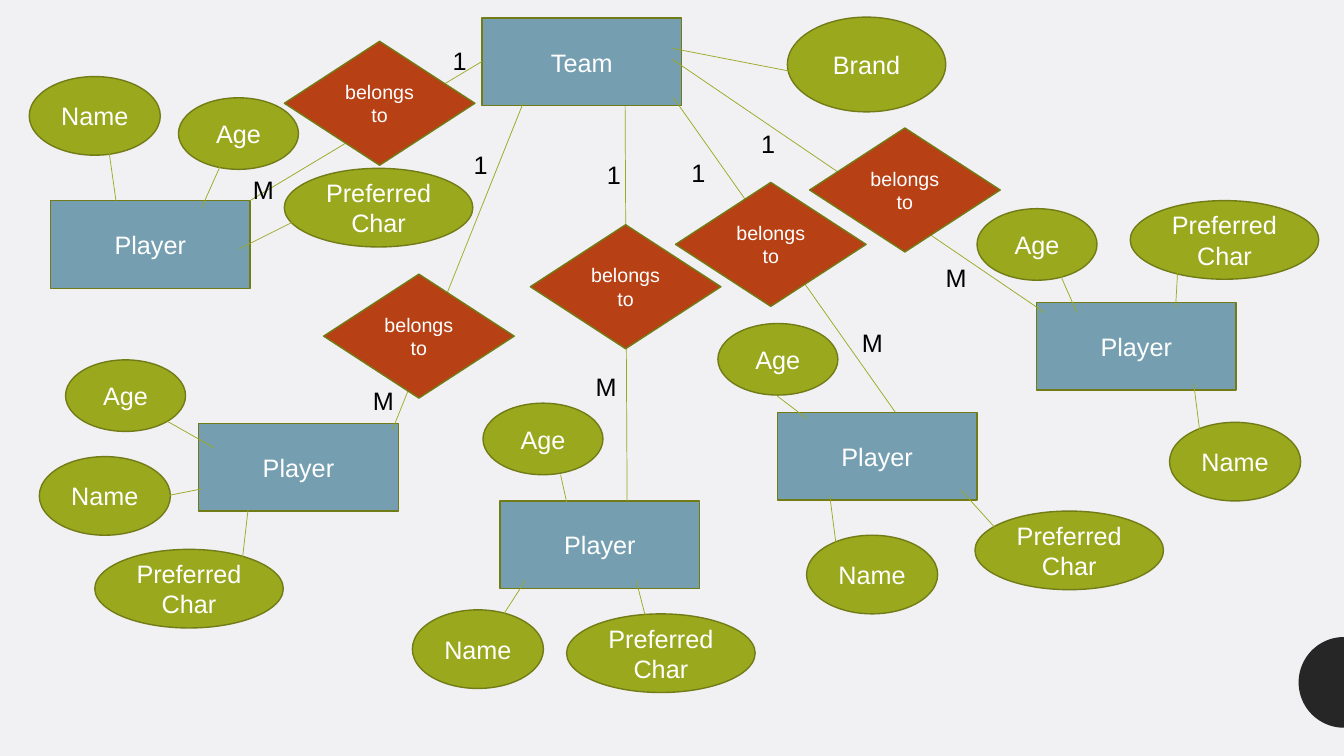
from dataclasses import dataclass
from math import cos, pi, sin

from lxml import etree
from pptx import Presentation
from pptx.dml.color import RGBColor
from pptx.enum.shapes import MSO_CONNECTOR, MSO_SHAPE
from pptx.enum.text import MSO_ANCHOR, MSO_AUTO_SIZE, PP_ALIGN
from pptx.oxml.ns import qn
from pptx.shapes.autoshape import Shape
from pptx.slide import Slide
from pptx.text.text import TextFrame
from pptx.util import Inches, Pt

RECT = MSO_SHAPE.RECTANGLE
OVAL = MSO_SHAPE.OVAL
GEM = MSO_SHAPE.FLOWCHART_DECISION
LINE = MSO_CONNECTOR.STRAIGHT
MIDDLE = MSO_ANCHOR.MIDDLE
CENTER = PP_ALIGN.CENTER
LEFT = PP_ALIGN.LEFT
GROW = MSO_AUTO_SIZE.SHAPE_TO_FIT_TEXT

WIDE, HIGH = Inches(13.33), Inches(7.5)
COLS, ROWS = 1333, 750

Spot = tuple[int, int]
Link = tuple[Spot, Spot]


@dataclass(frozen=True)
class Theme:
    font: str = "Arial"
    back: str = "F1F0F3"
    box: str = "759FB0"
    oval: str = "9AA81E"
    gem: str = "B74015"
    edge: str = "727C16"
    disc: str = "262626"
    light: str = "FFFFFF"
    dark: str = "000000"
    text: float = 18
    small: float = 14
    rim: float = 1
    thin: float = 0.5


THEME = Theme()


@dataclass(frozen=True)
class Kind:
    form: MSO_SHAPE
    cols: int
    rows: int
    fill: str
    size: float = THEME.text


BOX = Kind(RECT, 198, 87, THEME.box)
BRAND = Kind(OVAL, 157, 94, THEME.oval)
NAME = Kind(OVAL, 130, 78, THEME.oval)
AGE = Kind(OVAL, 119, 71, THEME.oval)
CHAR = Kind(OVAL, 187, 78, THEME.oval)
GEM_KIND = Kind(GEM, 189, 123, THEME.gem, THEME.small)
MARK_COLS, MARK_ROWS = 58, 40


@dataclass(frozen=True)
class Player:
    box: Spot
    name: Spot
    age: Spot
    char: Spot
    gem: Spot
    one: Spot
    many: Spot
    team: Link
    links: tuple[Link, ...]


PLAYERS = (
    Player((50, 199), (29, 76), (177, 97), (282, 167), (282, 41), (439, 40), (241, 168),
           ((248, 199), (478, 61)),
           (((237, 247), (293, 219)), ((200, 206), (221, 159)), ((115, 199), (107, 142)))),
    Player((197, 420), (39, 453), (65, 357), (94, 545), (321, 272), (460, 143), (360, 377),
           ((389, 427), (519, 102)),
           (((212, 444), (166, 418)), ((240, 558), (246, 506)), ((160, 493), (200, 485)))),
    Player((496, 497), (409, 605), (479, 400), (562, 609), (526, 223), (592, 153), (581, 363),
           ((622, 497), (620, 105)),
           (((640, 611), (631, 576)), ((494, 618), (521, 576)), ((562, 498), (556, 471)))),
    Player((771, 409), (800, 531), (712, 321), (967, 507), (670, 181), (676, 151), (845, 320),
           ((888, 409), (668, 97)),
           (((830, 546), (823, 492)), ((990, 527), (953, 486)), ((800, 415), (771, 393)))),
    Player((1028, 300), (1160, 419), (969, 207), (1121, 199), (803, 127), (745, 122), (928, 255),
           ((1036, 310), (667, 59)),
           (((1068, 310), (1050, 269)), ((1166, 305), (1168, 269)), ((1191, 436), (1184, 381)))),
)


def col(n: float) -> int:
    return round(WIDE * n / COLS)


def row(n: float) -> int:
    return round(HIGH * n / ROWS)


def tint(code: str) -> RGBColor:
    return RGBColor.from_string(code)


def write(frame: TextFrame, text: str, size: float, ink: str, align: PP_ALIGN) -> None:
    frame.word_wrap = True
    para = frame.paragraphs[0]
    para.alignment = align
    run = para.add_run()
    run.text = text
    run.font.name = THEME.font
    run.font.size = Pt(size)
    run.font.color.rgb = tint(ink)


def paint(shape: Shape, fill: str) -> None:
    shape.shadow.inherit = False
    shape.fill.solid()
    shape.fill.fore_color.rgb = tint(fill)


def draw_node(slide: Slide, kind: Kind, spot: Spot, text: str) -> None:
    node = slide.shapes.add_shape(
        kind.form, col(spot[0]), row(spot[1]), col(kind.cols), row(kind.rows))
    paint(node, kind.fill)
    node.line.color.rgb = tint(THEME.edge)
    node.line.width = Pt(THEME.rim)
    node.text_frame.vertical_anchor = MIDDLE
    write(node.text_frame, text, kind.size, THEME.light, CENTER)


def draw_link(slide: Slide, link: Link) -> None:
    (x1, y1), (x2, y2) = link
    wire = slide.shapes.add_connector(LINE, col(x1), row(y1), col(x2), row(y2))
    wire.line.color.rgb = tint(THEME.oval)
    wire.line.width = Pt(THEME.thin)
    etree.SubElement(wire.element.spPr, qn("a:effectLst"))


def draw_mark(slide: Slide, spot: Spot, text: str) -> None:
    mark = slide.shapes.add_textbox(
        col(spot[0]), row(spot[1]), col(MARK_COLS), row(MARK_ROWS))
    write(mark.text_frame, text, THEME.text, THEME.dark, LEFT)
    mark.text_frame.auto_size = GROW


def draw_disc(slide: Slide, mid: float, reach: float, steps: int) -> None:
    turns = [pi * n / steps for n in range(steps + 1)]
    spots = [(col(COLS - reach * sin(t)), row(mid - reach * cos(t))) for t in turns]
    pen = slide.shapes.build_freeform(*spots[0])
    pen.add_line_segments(spots[1:], close=True)
    disc = pen.convert_to_shape()
    paint(disc, THEME.disc)
    disc.line.fill.background()


def main() -> None:
    deck = Presentation()
    deck.slide_width, deck.slide_height = WIDE, HIGH
    slide = deck.slides.add_slide(deck.slide_layouts[6])
    slide.background.fill.solid()
    slide.background.fill.fore_color.rgb = tint(THEME.back)

    draw_disc(slide, 677, 45, 48)
    draw_node(slide, BOX, (478, 18), "Team")
    draw_node(slide, BRAND, (781, 17), "Brand")
    for player in PLAYERS:
        draw_node(slide, BOX, player.box, "Player")
        draw_node(slide, NAME, player.name, "Name")
        draw_node(slide, AGE, player.age, "Age")
        draw_node(slide, CHAR, player.char, "Preferred Char")
    draw_link(slide, ((816, 77), (667, 48)))
    for player in PLAYERS:
        for link in (player.team, *player.links):
            draw_link(slide, link)
    for player in PLAYERS:
        draw_node(slide, GEM_KIND, player.gem, "belongs to")
        draw_mark(slide, player.one, "1")
        draw_mark(slide, player.many, "M")

    deck.save("out.pptx")


if __name__ == "__main__":
    main()
